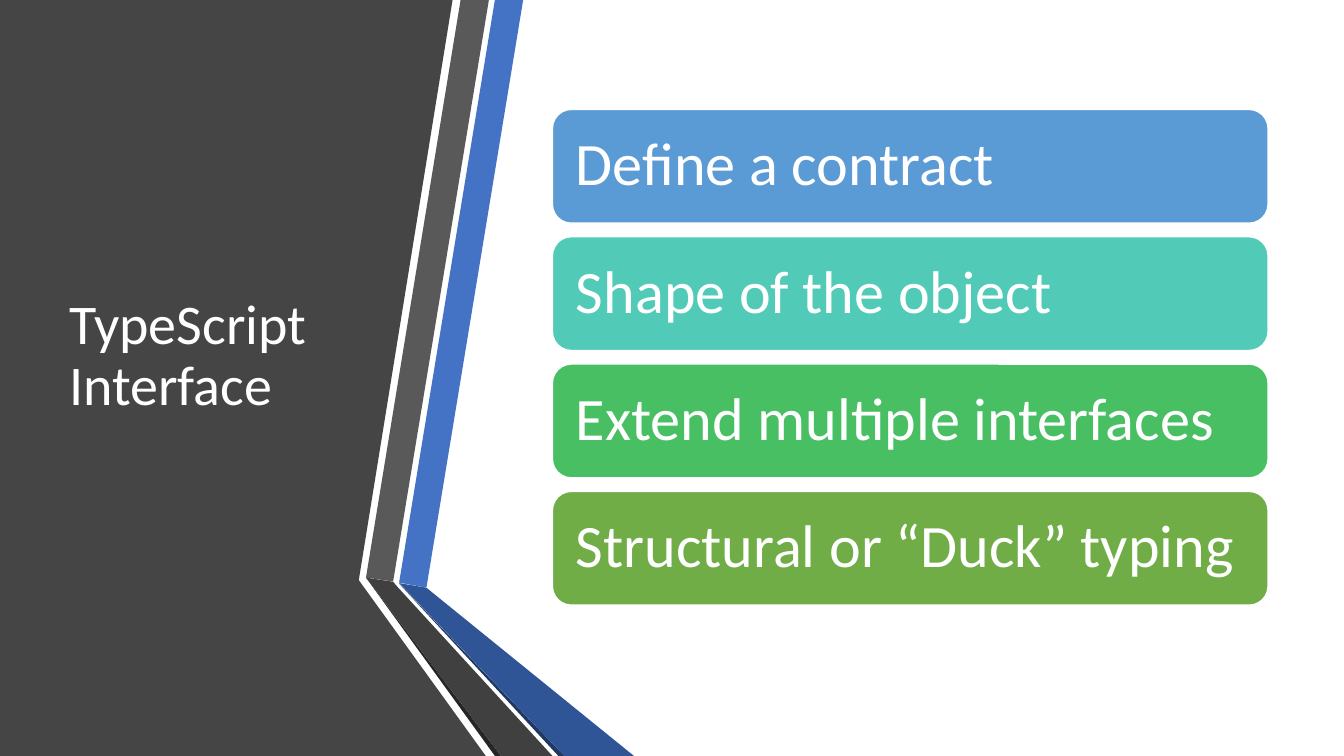
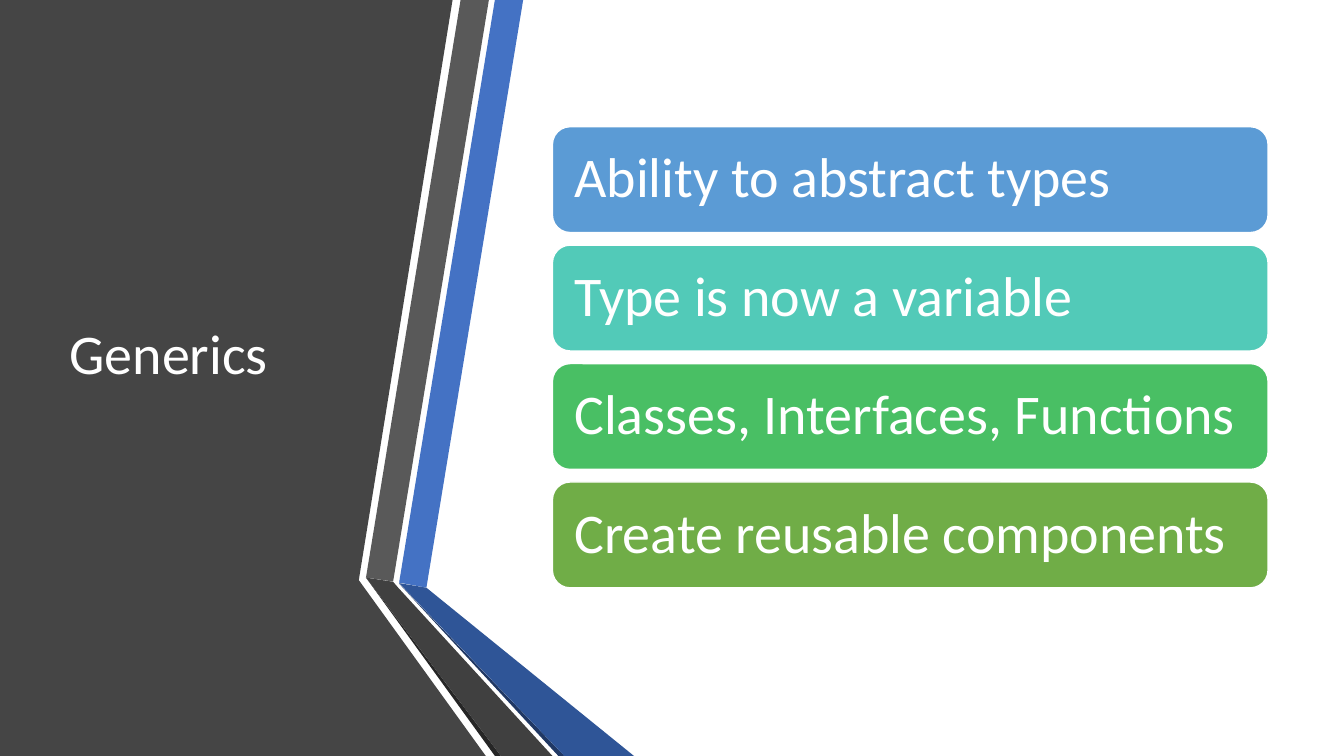
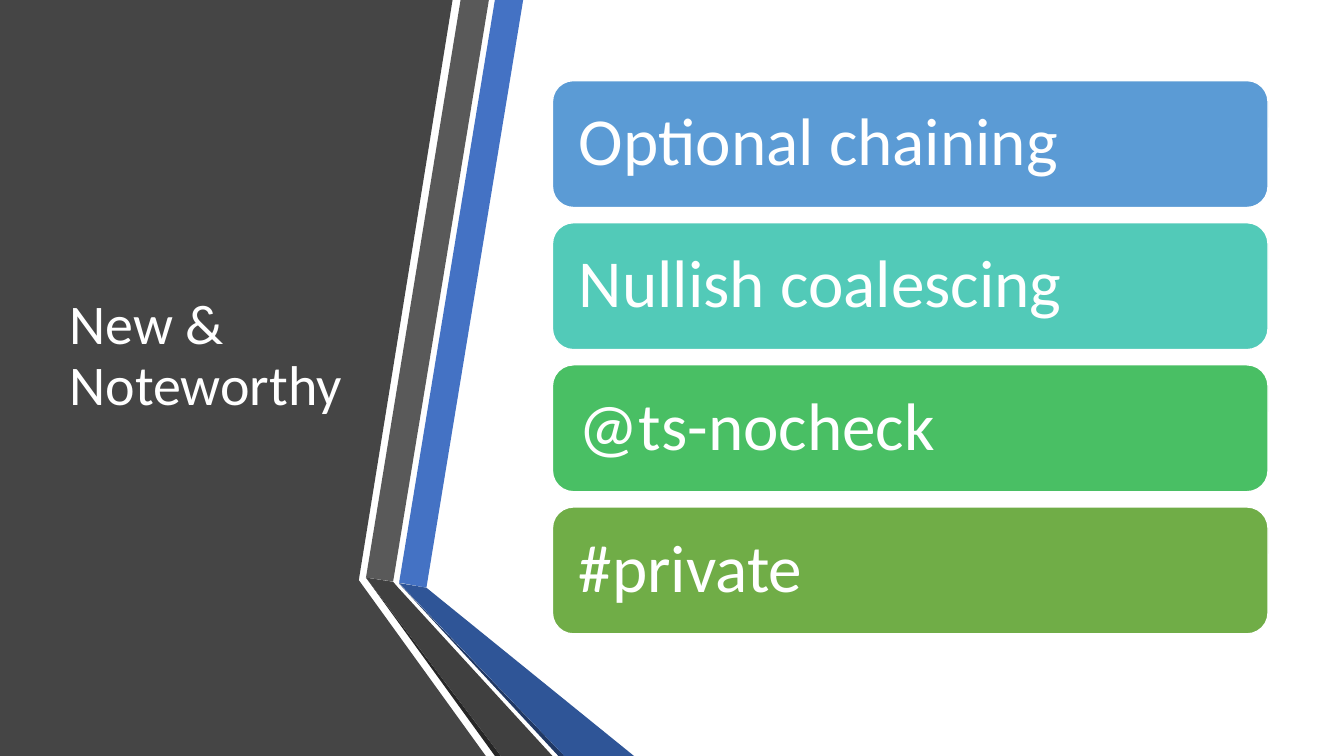
from pptx import Presentation
from pptx.dml.color import RGBColor
from pptx.enum import shapes, text
from pptx.util import Pt

WHITE = RGBColor(0xFF, 0xFF, 0xFF)
PANEL = RGBColor(0x45, 0x45, 0x45)
BLUE = RGBColor(0x44, 0x72, 0xC4)
BLUE_FOLD = RGBColor(0x2F, 0x55, 0x97)
NAVY = RGBColor(0x20, 0x38, 0x64)
GRAY = RGBColor(0x59, 0x59, 0x59)
GRAY_FOLD = RGBColor(0x40, 0x40, 0x40)
BLACK = RGBColor(0x26, 0x26, 0x26)
BAR_COLORS = [
    RGBColor(0x5B, 0x9B, 0xD5),
    RGBColor(0x52, 0xCA, 0xB8),
    RGBColor(0x49, 0xBF, 0x64),
    RGBColor(0x70, 0xAD, 0x47),
]
FONT = "Calibri"

# Title, bar text size, bar texts
SLIDES = [
    ("TypeScript Interface", 43,
     ["Define a contract", "Shape of the object",
      "Extend multiple interfaces", "Structural or “Duck” typing"]),
    ("Generics", 40,
     ["Ability to abstract types", "Type is now a variable",
      "Classes, Interfaces, Functions", "Create reusable components"]),
    ("New & Noteworthy", 48,
     ["Optional chaining", "Nullish coalescing", "@ts-nocheck", "#private"]),
]

# Corners in points, from back to front
BANDS = [
    (PANEL, [(0, 0), (323.3, 0), (256.3, 414.4), (347, 540), (0, 540)]),
    (BLUE, [(285.1, 416.2), (304.6, 419.8), (373.7, 0), (353.5, 0)]),
    (GRAY, [(349.2, 0), (329, 0), (261.4, 412.6), (280.8, 415.4)]),
    (BLACK, [(261.4, 412.6), (353.5, 540), (357.8, 540)]),
    (NAVY, [(285.1, 416.9), (398.9, 540), (403.2, 540)]),
    (BLUE_FOLD, [(285.1, 416.5), (403.2, 540), (452.9, 540), (304.6, 419.8)]),
    (GRAY_FOLD, [(394.6, 540), (284.4, 419.8), (280.8, 415.6),
                 (261.4, 412.6), (357.8, 540)]),
]

TITLE_SIZE = 40
BAR_LEFT, BAR_WIDTH = 394.6, 511.2
STACK_CENTER = 255.2
# Bar measures as multiples of the text size
BAR_HEIGHT, BAR_GAP, BAR_INSET = 1.89, 0.225, 0.3


def format_text(tf, size):
    tf.word_wrap = True
    tf.auto_size = text.MSO_AUTO_SIZE.NONE
    tf.vertical_anchor = text.MSO_ANCHOR.MIDDLE
    p = tf.paragraphs[0]
    p.alignment = text.PP_ALIGN.LEFT
    p.line_spacing = 0.9
    font = p.runs[0].font
    font.name, font.size, font.color.rgb = FONT, Pt(size), WHITE


def add_bands(s):
    for color, corners in BANDS:
        start, *rest = [(Pt(x), Pt(y)) for x, y in corners]
        builder = s.shapes.build_freeform(*start)
        builder.add_line_segments(rest, close=True)
        sp = builder.convert_to_shape()
        sp.shadow.inherit = False
        sp.fill.solid()
        sp.fill.fore_color.rgb = color
        sp.line.fill.background()


def add_title(s, title):
    sp = s.shapes.title
    sp.element.getparent().append(sp.element)  # bring in front of the bands
    sp.text_frame.text = title
    format_text(sp.text_frame, TITLE_SIZE)
    sp.text_frame.paragraphs[0].space_after = Pt(6)


def add_bars(s, labels, size):
    """Stack one bar per label around the common centre line."""
    height, gap, inset = (k * size for k in (BAR_HEIGHT, BAR_GAP, BAR_INSET))
    pitch = height + gap
    top = STACK_CENTER - (len(labels) * pitch - gap) / 2
    for i, (label, color) in enumerate(zip(labels, BAR_COLORS)):
        sp = s.shapes.add_shape(
            shapes.MSO_SHAPE.ROUNDED_RECTANGLE,
            Pt(BAR_LEFT), Pt(top + i * pitch), Pt(BAR_WIDTH), Pt(height))
        sp.shadow.inherit = False
        sp.fill.solid()
        sp.fill.fore_color.rgb = color
        sp.line.color.rgb = WHITE
        sp.line.width = Pt(1)
        tf = sp.text_frame
        tf.text = label
        tf.margin_left = tf.margin_right = Pt(inset)
        tf.margin_top = tf.margin_bottom = Pt(inset)
        format_text(tf, size)


def main():
    prs = Presentation()
    prs.slide_width, prs.slide_height = Pt(960), Pt(540)
    layout = prs.slide_layouts.get_by_name("Title Only")
    title_box = layout.placeholders[0]
    title_box.left, title_box.top = Pt(42.5), Pt(54)
    title_box.width, title_box.height = Pt(219), Pt(401.8)

    for title, size, labels in SLIDES:
        s = prs.slides.add_slide(layout)
        add_bands(s)
        add_title(s, title)
        add_bars(s, labels, size)
    prs.save("out.pptx")


if __name__ == "__main__":
    main()
